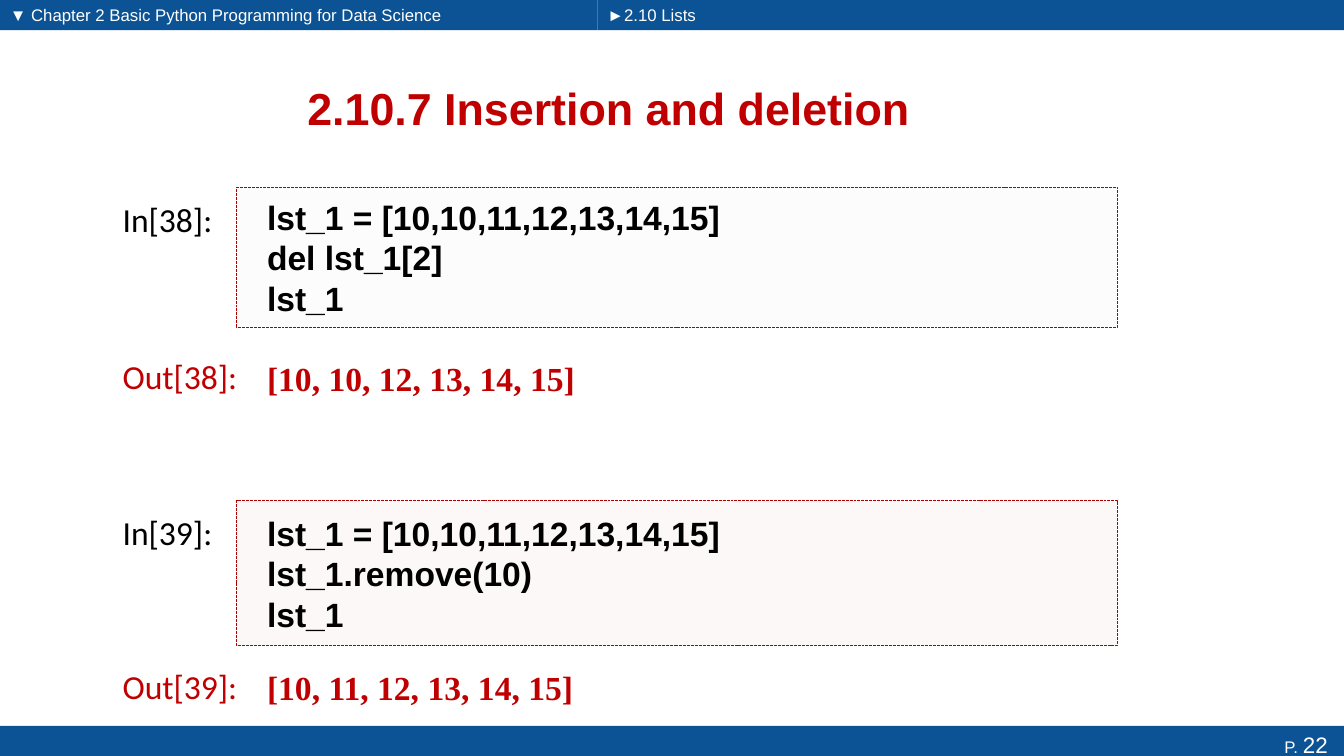
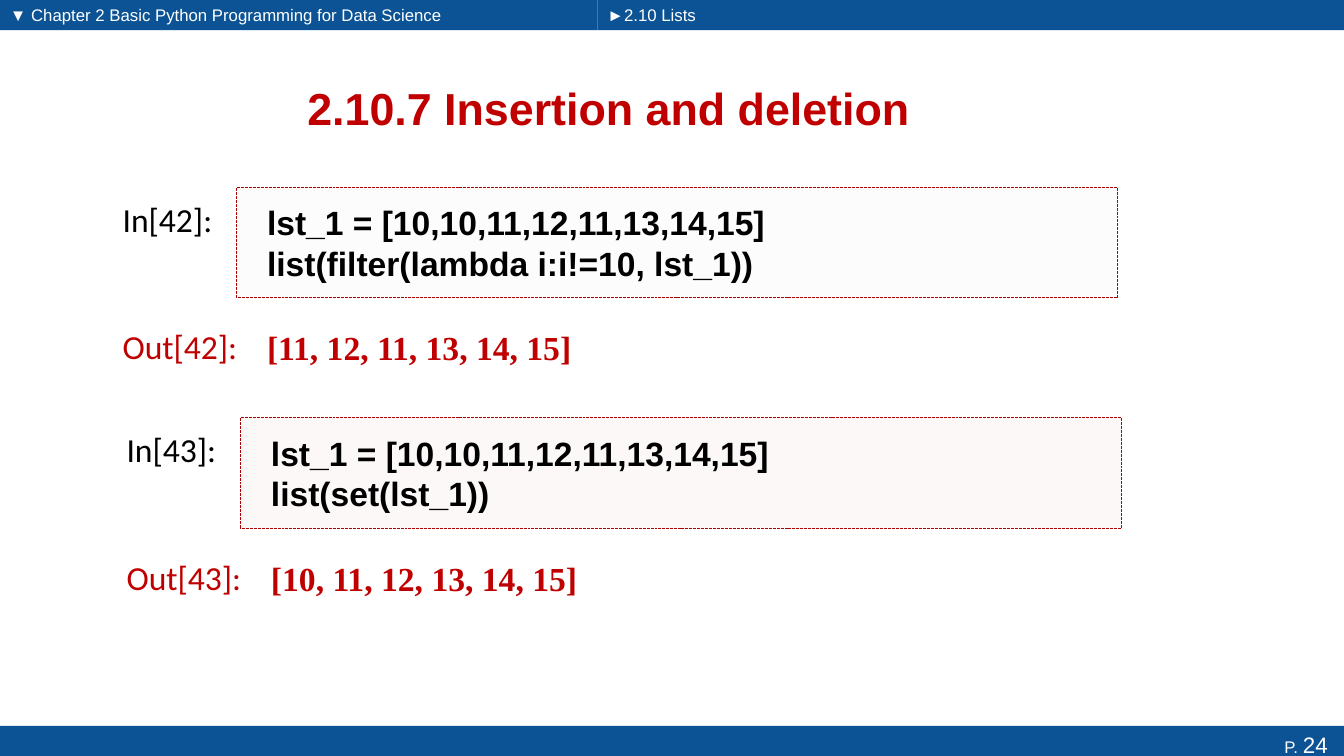
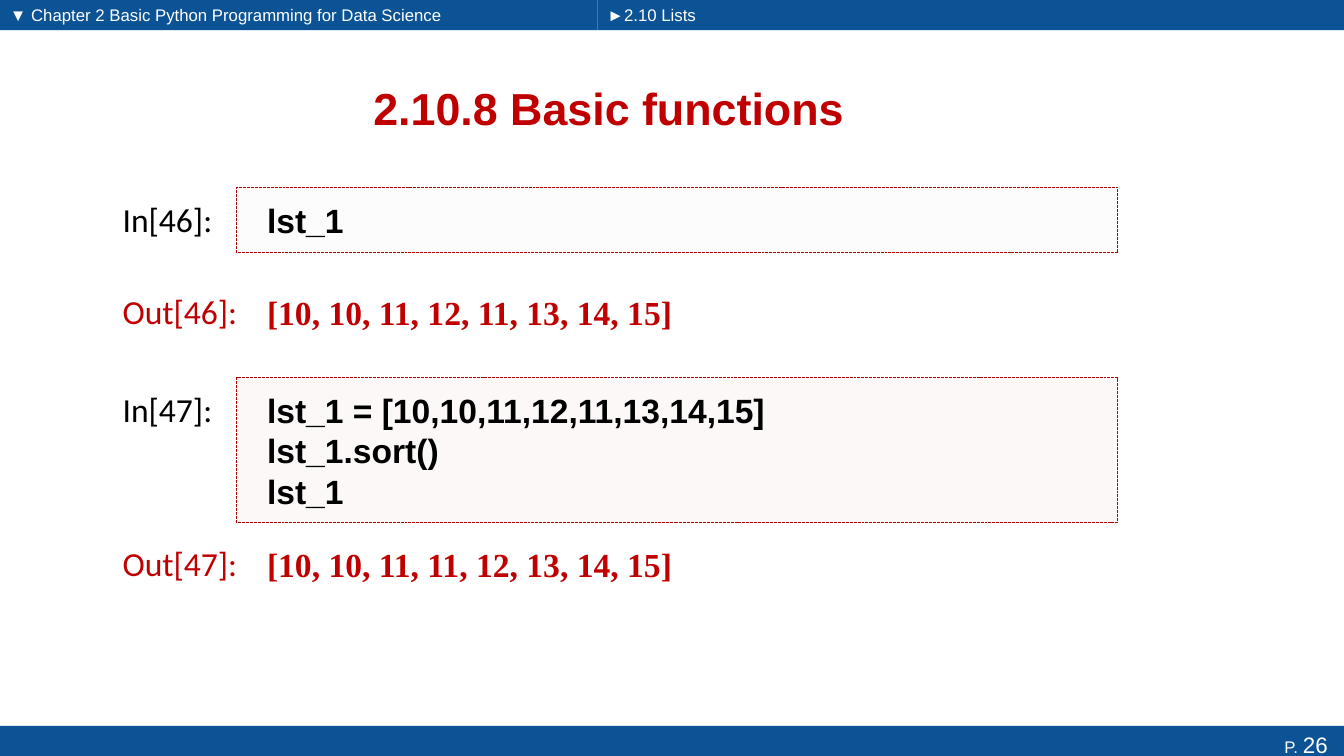
"""Build three slides of Python list examples with input and output cells."""
from dataclasses import dataclass

from lxml import etree
from pptx import Presentation
from pptx.dml.color import RGBColor
from pptx.enum.dml import MSO_LINE
from pptx.enum.shapes import MSO_SHAPE
from pptx.enum.text import MSO_ANCHOR, MSO_AUTO_SIZE, PP_ALIGN
from pptx.oxml.ns import qn
from pptx.util import Cm, Pt

RECT = MSO_SHAPE.RECTANGLE
DASH = MSO_LINE.SQUARE_DOT
TOP, MID = MSO_ANCHOR.TOP, MSO_ANCHOR.MIDDLE
LEFT, RIGHT, CENTER = PP_ALIGN.LEFT, PP_ALIGN.RIGHT, PP_ALIGN.CENTER
FIXED = MSO_AUTO_SIZE.NONE


@dataclass(frozen=True)
class Theme:
    """Hold the colours, fonts and type sizes of the deck."""
    band: str = "0B5394"
    white: str = "FFFFFF"
    ink: str = "000000"
    red: str = "C00000"
    edge: str = "AB0000"
    tints: tuple = ("F1EEF4", "EDCDCB")
    alpha: int = 13
    sans: str = "Arial"
    label: str = "Calibri"
    serif: str = "Times New Roman"
    title: int = 32
    body: int = 24
    page: int = 16
    small: int = 12


THEME = Theme()

CHAPTER = "▼ Chapter 2 Basic Python Programming for Data Science"
SECTION = "►2.10 Lists"

SLIDES = [
    dict(page=22, title="2.10.7 Insertion and deletion", cells=[
        dict(num=38, top=4.72, tall=3.53, out=8.69,
             code=["lst_1 = [10,10,11,12,13,14,15]", "del lst_1[2]", "lst_1"],
             result="[10, 10, 12, 13, 14, 15]"),
        dict(num=39, top=12.62, tall=3.66, out=16.48,
             code=["lst_1 = [10,10,11,12,13,14,15]", "lst_1.remove(10)", "lst_1"],
             result="[10, 11, 12, 13, 14, 15]"),
    ]),
    dict(page=24, title="2.10.7 Insertion and deletion", cells=[
        dict(num=42, top=4.72, tall=2.79, out=7.92,
             code=["lst_1 = [10,10,11,12,11,13,14,15]",
                   "list(filter(lambda i:i!=10, lst_1))"],
             result="[11, 12, 11, 13, 14, 15]"),
        dict(num=43, top=10.52, tall=2.79, out=13.74, shift=0.1,
             code=["lst_1 = [10,10,11,12,11,13,14,15]", "list(set(lst_1))"],
             result="[10, 11, 12, 13, 14, 15]"),
    ]),
    dict(page=26, title="2.10.8 Basic functions", cells=[
        dict(num=46, top=4.72, tall=1.65, out=7.04,
             code=["lst_1"],
             result="[10, 10, 11, 12, 11, 13, 14, 15]"),
        dict(num=47, top=9.52, tall=3.66, out=13.39,
             code=["lst_1 = [10,10,11,12,11,13,14,15]", "lst_1.sort()", "lst_1"],
             result="[10, 10, 11, 11, 12, 13, 14, 15]"),
    ]),
]

WIDE, HIGH = 33.87, 19.05
BAR = 0.76
SPLIT = 15.06
LABEL_X, LABEL_W, LABEL_H, LABEL_DROP = 2.84, 3.8, 1.27, 0.16
CODE_X, CODE_W, OUT_H = 5.97, 22.2, 1.65
PAD = (0.25, 0.13, 0.25, 0.13)
CODE_PAD = (0.76, 0.13, 0.25, 0.13)
PAGE_PAD = (0.25, 0.13, 0.41, 0)


def write(shape, lines, size=THEME.body, font=THEME.sans, color=THEME.ink,
          bold=False, align=LEFT, anchor=TOP, pad=PAD):
    """Fill a shape with lines, each a string or a list of (text, size) runs."""
    frame = shape.text_frame
    frame.word_wrap = True
    frame.auto_size = FIXED
    frame.vertical_anchor = anchor
    (frame.margin_left, frame.margin_top,
     frame.margin_right, frame.margin_bottom) = map(Cm, pad)
    for i, line in enumerate(lines):
        para = frame.add_paragraph() if i else frame.paragraphs[0]
        para.alignment = align
        runs = [(line, size)] if isinstance(line, str) else line
        for text, points in runs:
            run = para.add_run()
            run.text = text
            run.font.size = Pt(points)
            run.font.name = font
            run.font.bold = bold
            run.font.color.rgb = RGBColor.from_string(color)


def add_text(slide, box, lines, **style):
    """Add a text box at the given place."""
    write(slide.shapes.add_textbox(*map(Cm, box)), lines, **style)


def add_rect(slide, box, fill, alpha=None, edge=None):
    """Add a flat rectangle, with an optional tint and dashed edge."""
    rect = slide.shapes.add_shape(RECT, *map(Cm, box))
    rect.shadow.inherit = False
    rect.fill.solid()
    rect.fill.fore_color.rgb = RGBColor.from_string(fill)
    if alpha:
        tone = rect.fill._xPr.find(".//" + qn("a:srgbClr"))
        etree.SubElement(tone, qn("a:alpha"), val=str(alpha * 1000))
    if edge:
        rect.line.color.rgb = RGBColor.from_string(edge)
        rect.line.width = Pt(0.7)
        rect.line.dash_style = DASH
    else:
        rect.line.fill.background()
    return rect


def add_frame(slide, page, title):
    """Draw the bands, the running heads, the page number and the title."""
    heads = [(0, SPLIT, CHAPTER), (SPLIT, WIDE - SPLIT, SECTION)]
    for left, width, text in heads:
        band = add_rect(slide, (left, 0, width, BAR), THEME.band)
        write(band, [text], size=THEME.small, color=THEME.white)
    foot = add_rect(slide, (0, HIGH - BAR, WIDE, BAR), THEME.band)
    write(foot, [[("P. ", THEME.small), (str(page), THEME.page)]],
          color=THEME.white, align=RIGHT, pad=PAGE_PAD)
    head = slide.shapes.title
    head.left, head.top, head.width, head.height = map(Cm, (1.73, 1.57, 27.23, 2.29))
    write(head, [title], size=THEME.title, color=THEME.red, bold=True,
          align=CENTER, anchor=MID)


def add_cell(slide, tint, num, top, tall, out, code, result, shift=0):
    """Draw one input box with its output line and both labels."""
    left = CODE_X + shift
    labels = [("In", top, THEME.ink), ("Out", out, THEME.red)]
    for word, y, color in labels:
        add_text(slide, (LABEL_X + shift, y + LABEL_DROP, LABEL_W, LABEL_H),
                 [f"{word}[{num}]:"], font=THEME.label, color=color)
    box = add_rect(slide, (left, top, CODE_W, tall), tint, THEME.alpha, THEME.edge)
    write(box, code, bold=True, anchor=MID, pad=CODE_PAD)
    add_text(slide, (left, out, CODE_W, OUT_H), [result], font=THEME.serif,
             color=THEME.red, bold=True, anchor=MID, pad=CODE_PAD)


def main():
    """Build and save the deck."""
    deck = Presentation()
    deck.slide_width, deck.slide_height = Cm(WIDE), Cm(HIGH)
    for item in SLIDES:
        slide = deck.slides.add_slide(deck.slide_layouts[5])
        add_frame(slide, item["page"], item["title"])
        for tint, cell in zip(THEME.tints, item["cells"]):
            add_cell(slide, tint, **cell)
    deck.save("out.pptx")


if __name__ == "__main__":
    main()
